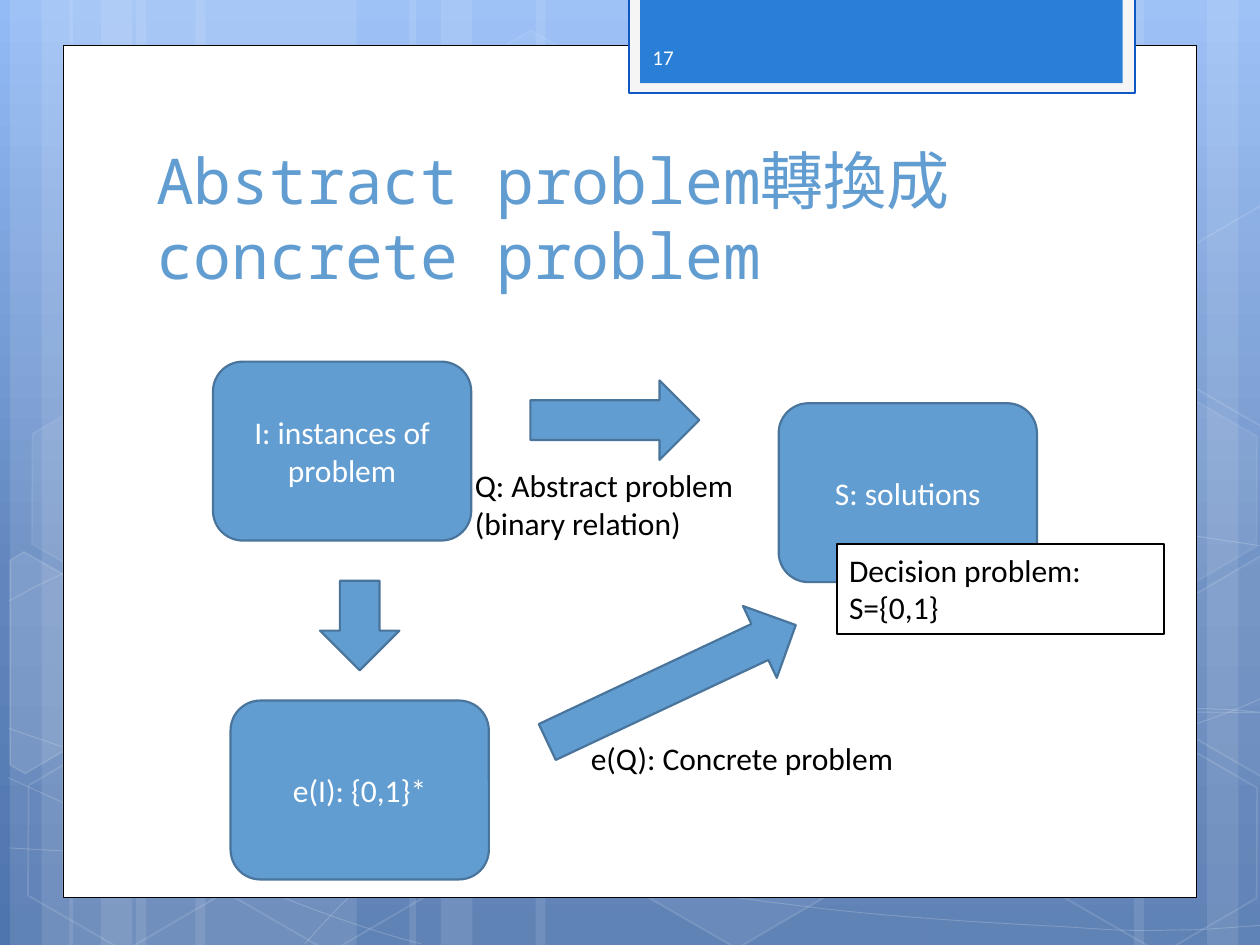
from copy import deepcopy
from typing import NamedTuple, Optional

from lxml import etree
from pptx import Presentation
from pptx.dml.color import RGBColor
from pptx.enum.shapes import MSO_SHAPE
from pptx.enum.text import MSO_ANCHOR, PP_ALIGN
from pptx.oxml.ns import qn
from pptx.util import Inches, Pt

RECTANGLE = MSO_SHAPE.RECTANGLE
ROUNDED = MSO_SHAPE.ROUNDED_RECTANGLE
HEXAGON = MSO_SHAPE.HEXAGON
RIGHT_ARROW = MSO_SHAPE.RIGHT_ARROW
DOWN_ARROW = MSO_SHAPE.DOWN_ARROW
TOP, MIDDLE, BOTTOM = MSO_ANCHOR.TOP, MSO_ANCHOR.MIDDLE, MSO_ANCHOR.BOTTOM
LEFT, CENTER = PP_ALIGN.LEFT, PP_ALIGN.CENTER

WHITE, BLACK = "FFFFFF", "000000"
BLUE, DARK_BLUE = "629DD1", "49749B"
PAGE_HEIGHT = 7.5
HEXAGON_SIZE = (1.75, 1.52)
NODE_SIZE = (2.05, 1.42)


class Paint(NamedTuple):
    """Fill and line; opacities are in percent, line width in points."""
    fill: Optional[str] = None
    fill_opacity: int = 100
    line: Optional[str] = None
    width: float = 1.25
    line_opacity: int = 100


class TextStyle(NamedTuple):
    size: float = 18
    color: str = BLACK
    font: str = "Calibri"
    align: PP_ALIGN = LEFT
    anchor: MSO_ANCHOR = TOP


class Hexagon(NamedTuple):
    left: float
    top: float
    fill_opacity: int
    line_opacity: int


class Node(NamedTuple):
    left: float
    top: float
    text: str


class Arrow(NamedTuple):
    kind: MSO_SHAPE
    box: tuple
    rotation: float = 0


class Label(NamedTuple):
    text: str
    box: tuple
    style: TextStyle = TextStyle()


DIAGRAM = Paint(BLUE, line=DARK_BLUE)
CURVE_PAINT = Paint(line=WHITE, width=0.5, line_opacity=20)
NODE_TEXT = TextStyle(color=WHITE, align=CENTER, anchor=MIDDLE)

# Left and width of each full-height band
STRIPES = [
    (1.08, 1.75), (0.08, 0.5), (0.33, 0.83), (1.55, 1.75), (0.55, 0.5), (0.8, 0.83),
    (7.33, 1.75), (9.58, 0.5), (9, 0.83), (4.25, 3.08), (3.25, 0.5), (3.5, 0.83),
]
# Start point, then three points for every Bezier segment
CURVES = [
    [(0.07, 6.73), (0.61, 6.76), (1.15, 6.79), (1.9, 6.78), (2.65, 6.77), (3.58, 6.75),
     (4.58, 6.65), (5.58, 6.55), (7, 6.36), (7.92, 6.17), (8.83, 5.98), (9.77, 5.68),
     (10.07, 5.51)],
    [(0.07, 4.77), (0.36, 4.61), (0.65, 4.46), (1.21, 4.31), (1.78, 4.16), (2.59, 3.94),
     (3.47, 3.87), (4.36, 3.8), (5.44, 3.79), (6.54, 3.87), (7.64, 3.95), (9.47, 4.26),
     (10.07, 4.34)],
    [(0.06, 6.17), (1.27, 6.72), (2.47, 7.27), (3.34, 7.49)],
    [(0.07, 5.78), (0.38, 5.89), (0.7, 6), (1.28, 6.16), (1.86, 6.31), (2.73, 6.56),
     (3.57, 6.73), (4.4, 6.9), (5.45, 7.08), (6.28, 7.18), (7.11, 7.29), (8, 7.33),
     (8.53, 7.36), (9.05, 7.4), (9.19, 7.38), (9.45, 7.38), (9.71, 7.37), (9.89, 7.35),
     (10.07, 7.34)],
    [(2.42, 7.49), (2.6, 7.29), (2.78, 7.09), (3.02, 6.91), (3.26, 6.73), (3.6, 6.53),
     (3.88, 6.39), (4.16, 6.25), (4.33, 6.19), (4.7, 6.09), (5.06, 5.99), (5.73, 5.85),
     (6.08, 5.78), (6.44, 5.71), (6.49, 5.71), (6.8, 5.69), (7.11, 5.66), (7.6, 5.63),
     (7.94, 5.62), (8.29, 5.61), (8.86, 5.62), (8.86, 5.62), (9.08, 5.62), (9.31, 5.62),
     (9.53, 5.62), (9.71, 5.63), (9.88, 5.64), (9.97, 5.65), (10.06, 5.66), (10.03, 5.65),
     (10.06, 5.66)],
]
# The flat stretch before the last two segments repeats its first point
CURVES[4].remove((8.86, 5.62))
HEXAGONS = [
    Hexagon(3.34, 0.36, 4, 8), Hexagon(4.97, 5.89, 6, 12), Hexagon(0.11, 5.91, 0, 12),
    Hexagon(0.14, 3.12, 7, 8), Hexagon(1.74, 5.92, 0, 12), Hexagon(7.53, 4.53, 10, 12),
    Hexagon(8.34, 5.93, 0, 12), Hexagon(8.34, 3.14, 7, 8),
]
# Hexagons cut by the page edge: outline and fill opacity
CUT_HEXAGONS = [
    ([(0.08, 4.45), (0.19, 4.38), (0.96, 4.82), (0.95, 5.7), (0.2, 6.14), (0.08, 6.07)], 10),
    ([(9.26, 4.85), (10.01, 4.41), (10.09, 4.46), (10.09, 6.13), (10.02, 6.17), (9.26, 5.73)], 4),
    ([(9.26, 2.07), (10.01, 1.63), (10.1, 1.68), (10.09, 3.35), (10.02, 3.39), (9.26, 2.95)], 0),
]
PANELS = [
    ((0.5, 0.36, 9, 6.76), Paint(WHITE, line=BLACK, width=0.5)),
    ((4.99, -0.02, 4.02, 0.76), Paint("F5F5F5", line="0E58C4")),
    ((5.08, -0.02, 3.83, 0.68), Paint("297FD5")),
]
NODES = [
    Node(1.69, 2.87, "I: instances of problem"),
    Node(6.18, 3.2, "S: solutions"),
    Node(1.83, 5.56, "e(I): {0,1}*"),
]
ARROWS = [
    Arrow(RIGHT_ARROW, (4.21, 3.02, 1.34, 0.63)),
    Arrow(DOWN_ARROW, (2.54, 4.61, 0.63, 0.71)),
    Arrow(RIGHT_ARROW, (4.24, 5.11, 2.18, 0.63), 334.8),
]
LABELS = [
    Label("Abstract problem轉換成concrete problem", (1.14, 1.12, 7.68, 1.25),
          TextStyle(36, BLUE, "Noto Sans Mono", anchor=BOTTOM)),
    Label("17", (5.08, 0.25, 1.46, 0.4), TextStyle(12, "FEFEFE", anchor=MIDDLE)),
    Label("Q: Abstract problem\v(binary relation)", (3.67, 3.65, 2.61, 0.71)),
    Label("e(Q): Concrete problem", (4.59, 5.82, 3.48, 0.4)),
]


def rgb(value: str) -> RGBColor:
    return RGBColor.from_string(value)


def set_opacity(shape, parent: str, percent: int) -> None:
    if percent < 100:
        color = shape.element.xpath(f"{parent}/a:solidFill/a:srgbClr")[0]
        etree.SubElement(color, qn("a:alpha")).set("val", str(percent * 1000))


def apply_paint(shape, paint: Paint) -> None:
    shape.shadow.inherit = False
    if paint.fill and paint.fill_opacity:
        shape.fill.solid()
        shape.fill.fore_color.rgb = rgb(paint.fill)
        set_opacity(shape, "./p:spPr", paint.fill_opacity)
    else:
        shape.fill.background()
    if paint.line:
        shape.line.color.rgb = rgb(paint.line)
        shape.line.width = Pt(paint.width)
        set_opacity(shape, "./p:spPr/a:ln", paint.line_opacity)
    else:
        shape.line.fill.background()


def add_preset(page, kind: MSO_SHAPE, box: tuple, paint: Paint, rotation: float = 0):
    shape = page.shapes.add_shape(kind, *map(Inches, box))
    shape.rotation = rotation
    apply_paint(shape, paint)
    return shape


def add_outline(page, points: list, paint: Paint, close: bool):
    corners = [(Inches(x), Inches(y)) for x, y in points]
    builder = page.shapes.build_freeform(*corners[0])
    builder.add_line_segments(corners[1:], close=close)
    shape = builder.convert_to_shape()
    apply_paint(shape, paint)
    return shape


def add_curve(page, points: list) -> None:
    """Draw an open outline and turn every three of its lines into one Bezier."""
    shape = add_outline(page, points, CURVE_PAINT, False)
    lines = shape.element.xpath(".//a:lnTo")
    for first in range(0, len(lines), 3):
        bezier = etree.Element(qn("a:cubicBezTo"))
        lines[first].addprevious(bezier)
        for line in lines[first:first + 3]:
            bezier.append(line[0])
            line.getparent().remove(line)


def write(shape, text: str, style: TextStyle) -> None:
    frame = shape.text_frame
    frame.word_wrap = True
    frame.vertical_anchor = style.anchor
    frame.text = text
    for para in frame.paragraphs:
        para.alignment = style.align
        for span in para.runs:
            span.font.name = style.font
            span.font.size = Pt(style.size)
            span.font.color.rgb = rgb(style.color)


def paint_background(page) -> None:
    fill = page.background.fill
    fill.gradient()
    fill.gradient_angle = 270
    stop_list = page.element.xpath(".//a:gsLst")[0]
    stop_list.append(deepcopy(stop_list[-1]))
    stops = [(0, "93BBF6"), (0.62, "6186BE"), (1, "4F75AE")]
    for stop, (position, color) in zip(fill.gradient_stops, stops):
        stop.position = position
        stop.color.rgb = rgb(color)


def draw_backdrop(page) -> None:
    paint_background(page)
    for left, width in STRIPES:
        add_preset(page, RECTANGLE, (left, 0, width, PAGE_HEIGHT), Paint(WHITE, 10))
    for curve in CURVES:
        add_curve(page, curve)
    for item in HEXAGONS:
        paint = Paint(WHITE, item.fill_opacity, WHITE, 1, item.line_opacity)
        shape = add_preset(page, HEXAGON, (item.left, item.top, *HEXAGON_SIZE), paint, 30)
        shape.adjustments[0] = 0.285
    for points, opacity in CUT_HEXAGONS:
        add_outline(page, points, Paint(WHITE, opacity, WHITE, 1, 12), True)
    for box, paint in PANELS:
        add_preset(page, RECTANGLE, box, paint)


def draw_diagram(page) -> None:
    for node in NODES:
        shape = add_preset(page, ROUNDED, (node.left, node.top, *NODE_SIZE), DIAGRAM)
        write(shape, node.text, NODE_TEXT)
    for arrow in ARROWS:
        add_preset(page, arrow.kind, arrow.box, DIAGRAM, arrow.rotation)
    note = add_preset(page, RECTANGLE, (6.64, 4.32, 2.6, 0.71), Paint(WHITE, line=BLACK))
    write(note, "Decision problem:\nS={0,1}", TextStyle())
    for label in LABELS:
        write(page.shapes.add_textbox(*map(Inches, label.box)), label.text, label.style)


def main() -> None:
    deck = Presentation()
    deck.slide_width, deck.slide_height = Inches(10), Inches(PAGE_HEIGHT)
    page = deck.slides.add_slide(deck.slide_layouts[6])
    draw_backdrop(page)
    draw_diagram(page)
    deck.save("out.pptx")


if __name__ == "__main__":
    main()
